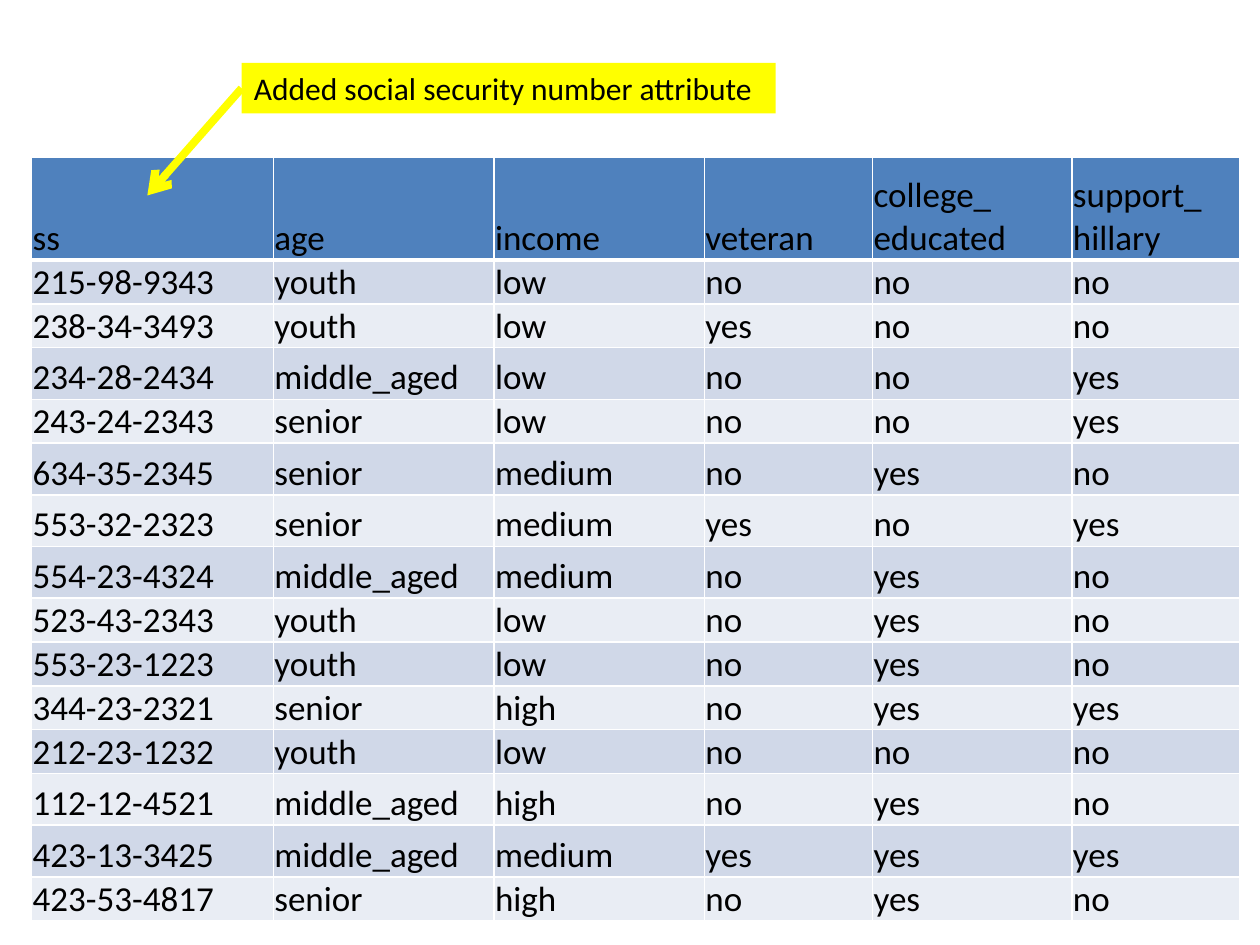
"""Build the voter table slide with a callout on its added attribute."""
from dataclasses import dataclass

from lxml import etree
from pptx import Presentation
from pptx.dml.color import RGBColor
from pptx.enum.shapes import MSO_CONNECTOR
from pptx.enum.text import MSO_ANCHOR, MSO_AUTO_SIZE, PP_ALIGN
from pptx.oxml.ns import qn
from pptx.slide import Slide
from pptx.table import _Cell
from pptx.text.text import TextFrame
from pptx.util import Cm, Pt

STRAIGHT = MSO_CONNECTOR.STRAIGHT
BOTTOM = MSO_ANCHOR.BOTTOM
LEFT = PP_ALIGN.LEFT
FIT_SHAPE = MSO_AUTO_SIZE.SHAPE_TO_FIT_TEXT


@dataclass(frozen=True)
class Theme:
    font: str = "Calibri"
    text: str = "000000"
    header: str = "4F81BD"
    odd_row: str = "D0D8E8"
    even_row: str = "E9EDF4"
    border: str = "FFFFFF"
    highlight: str = "FFFF00"
    table_size: float = 20
    callout_size: float = 18
    thin: float = 1
    thick: float = 3
    arrow: float = 4.5


@dataclass(frozen=True)
class Column:
    name: str
    width: float


@dataclass(frozen=True)
class Voter:
    ss: str
    age: str
    income: str
    veteran: str
    college_educated: str
    support: str

    @property
    def values(self) -> tuple[str, ...]:
        return (self.ss, self.age, self.income, self.veteran,
                self.college_educated, self.support)

    @property
    def height(self) -> float:
        is_tall = self.age == "middle_aged" or self.income == "medium"
        return 1.04 if is_tall else 0.87


@dataclass(frozen=True)
class Callout:
    text: str
    left: float
    top: float
    width: float
    height: float
    target_x: float
    target_y: float


THEME = Theme()
HEADER_HEIGHT = 2.06
COLUMNS = (
    Column("ss", 4.87),
    Column("age", 4.45),
    Column("income", 4.24),
    Column("veteran", 3.39),
    Column("college_\neducated", 4.02),
    Column("support_\nhillary", 3.39),
)
VOTERS = (
    Voter("215-98-9343", "youth", "low", "no", "no", "no"),
    Voter("238-34-3493", "youth", "low", "yes", "no", "no"),
    Voter("234-28-2434", "middle_aged", "low", "no", "no", "yes"),
    Voter("243-24-2343", "senior", "low", "no", "no", "yes"),
    Voter("634-35-2345", "senior", "medium", "no", "yes", "no"),
    Voter("553-32-2323", "senior", "medium", "yes", "no", "yes"),
    Voter("554-23-4324", "middle_aged", "medium", "no", "yes", "no"),
    Voter("523-43-2343", "youth", "low", "no", "yes", "no"),
    Voter("553-23-1223", "youth", "low", "no", "yes", "no"),
    Voter("344-23-2321", "senior", "high", "no", "yes", "yes"),
    Voter("212-23-1232", "youth", "low", "no", "no", "no"),
    Voter("112-12-4521", "middle_aged", "high", "no", "yes", "no"),
    Voter("423-13-3425", "middle_aged", "medium", "yes", "yes", "yes"),
    Voter("423-53-4817", "senior", "high", "no", "yes", "no"),
)
CALLOUT = Callout("Added social security number attribute",
                  4.87, 1.27, 10.77, 1.02, 2.97, 3.94)


def write_text(frame: TextFrame, text: str, size: float) -> None:
    for index, line in enumerate(text.split("\n")):
        paragraph = frame.add_paragraph() if index else frame.paragraphs[0]
        paragraph.alignment = LEFT
        run = paragraph.add_run()
        run.text = line
        run.font.name = THEME.font
        run.font.size = Pt(size)
        run.font.bold = False
        run.font.color.rgb = RGBColor.from_string(THEME.text)


def set_borders(cell: _Cell, top: float, bottom: float) -> None:
    properties = cell._tc.get_or_add_tcPr()
    widths = {"L": THEME.thin, "R": THEME.thin, "T": top, "B": bottom}
    for side, width in widths.items():
        line = etree.SubElement(properties, qn(f"a:ln{side}"), w=str(Pt(width)))
        fill = etree.SubElement(line, qn("a:solidFill"))
        etree.SubElement(fill, qn("a:srgbClr"), val=THEME.border)


def format_cell(cell: _Cell, text: str, row_index: int) -> None:
    set_borders(cell,
                top=THEME.thick if row_index == 1 else THEME.thin,
                bottom=THEME.thick if row_index == 0 else THEME.thin)
    if row_index == 0:
        color = THEME.header
    else:
        color = THEME.odd_row if row_index % 2 else THEME.even_row
    cell.fill.solid()
    cell.fill.fore_color.rgb = RGBColor.from_string(color)
    cell.margin_left = cell.margin_right = cell.margin_top = Cm(0.02)
    cell.margin_bottom = 0
    cell.vertical_anchor = BOTTOM
    write_text(cell.text_frame, text, THEME.table_size)


def draw_table(slide: Slide) -> None:
    rows = [tuple(column.name for column in COLUMNS)]
    rows += [voter.values for voter in VOTERS]
    heights = [HEADER_HEIGHT] + [voter.height for voter in VOTERS]
    width = sum(column.width for column in COLUMNS)
    table = slide.shapes.add_table(
        len(rows), len(COLUMNS), Cm(0.64), Cm(3.18), Cm(width), Cm(sum(heights))
    ).table
    for column, table_column in zip(COLUMNS, table.columns):
        table_column.width = Cm(column.width)
    for row_index, (values, height) in enumerate(zip(rows, heights)):
        table.rows[row_index].height = Cm(height)
        for column_index, text in enumerate(values):
            format_cell(table.cell(row_index, column_index), text, row_index)


def draw_callout(slide: Slide, callout: Callout) -> None:
    highlight = RGBColor.from_string(THEME.highlight)
    box = slide.shapes.add_textbox(Cm(callout.left), Cm(callout.top),
                                   Cm(callout.width), Cm(callout.height))
    box.fill.solid()
    box.fill.fore_color.rgb = highlight
    box.text_frame.word_wrap = False
    box.text_frame.auto_size = FIT_SHAPE
    write_text(box.text_frame, callout.text, THEME.callout_size)

    arrow = slide.shapes.add_connector(
        STRAIGHT, Cm(callout.left), Cm(callout.top + callout.height / 2),
        Cm(callout.target_x), Cm(callout.target_y))
    arrow.line.color.rgb = highlight
    arrow.line.width = Pt(THEME.arrow)
    etree.SubElement(arrow.line._get_or_add_ln(), qn("a:tailEnd"), type="arrow")
    etree.SubElement(arrow._element.spPr, qn("a:effectLst"))


def main() -> None:
    presentation = Presentation()
    presentation.slide_width = Cm(25.4)
    presentation.slide_height = Cm(19.05)
    slide = presentation.slides.add_slide(presentation.slide_layouts[6])
    draw_table(slide)
    draw_callout(slide, CALLOUT)
    presentation.save("out.pptx")


if __name__ == "__main__":
    main()
